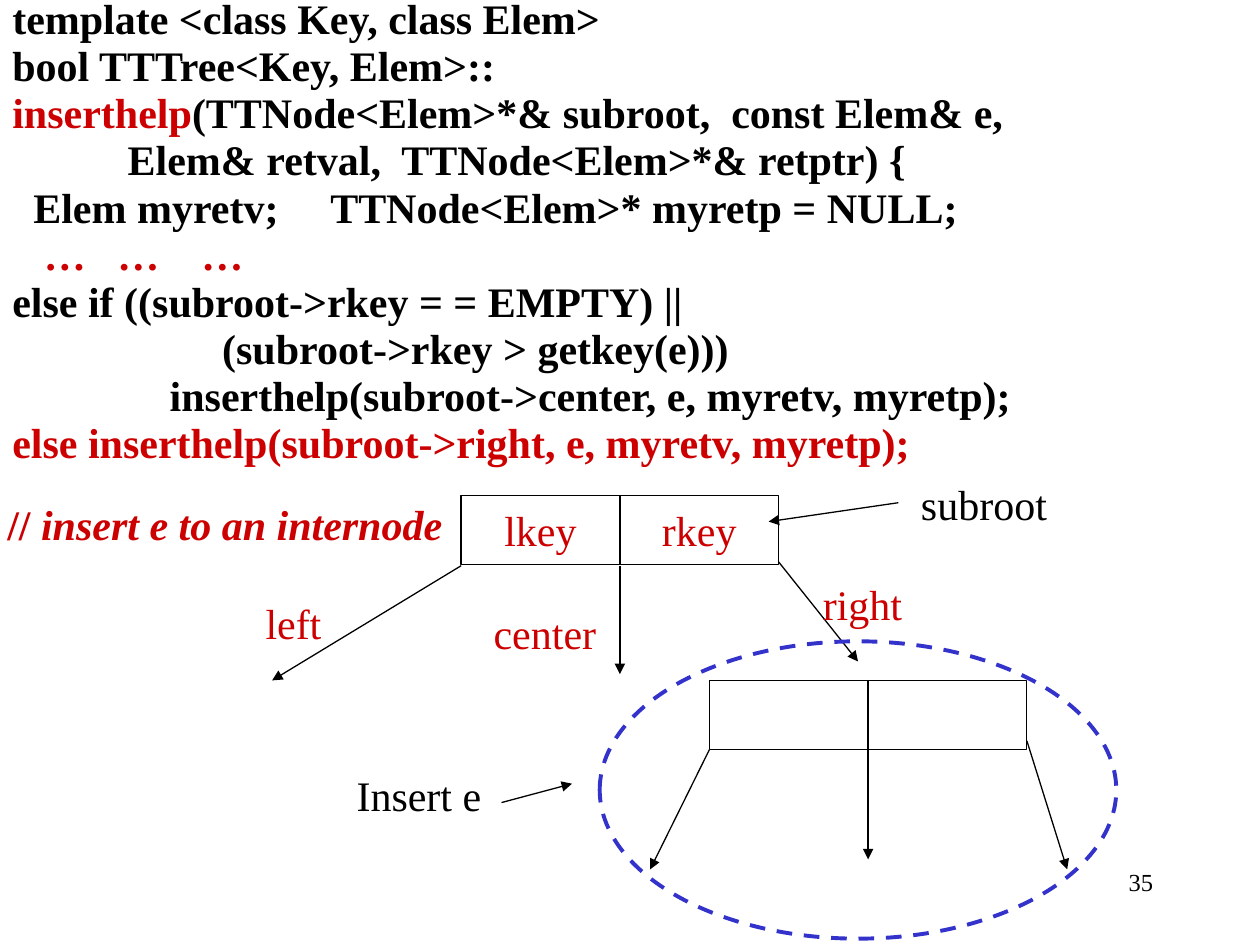
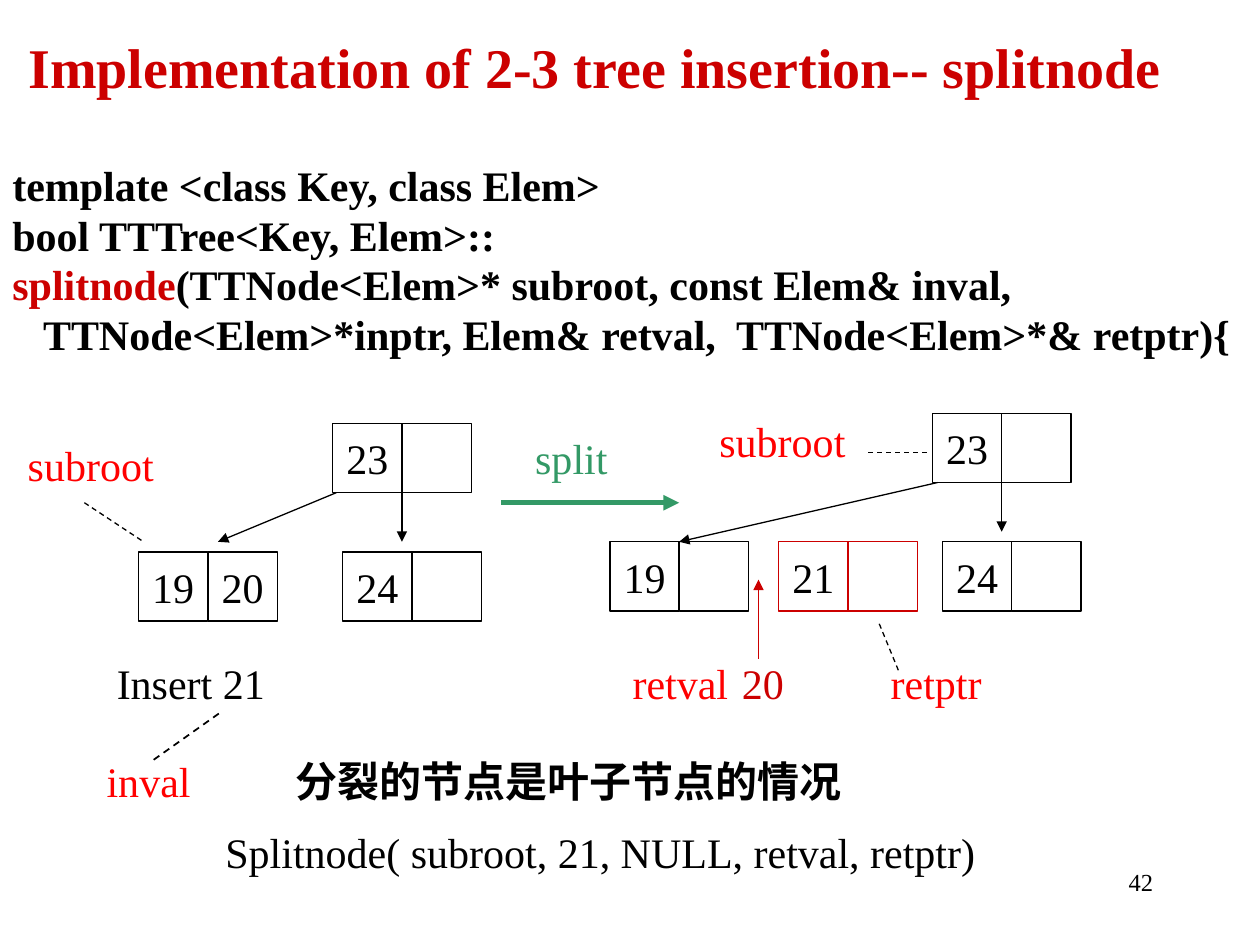
from pptx import Presentation
from pptx.dml.color import RGBColor
from pptx.enum.dml import MSO_LINE
from pptx.enum.shapes import MSO_CONNECTOR, MSO_SHAPE
from pptx.enum.text import MSO_ANCHOR, MSO_AUTO_SIZE, PP_ALIGN
from pptx.oxml.ns import qn
from pptx.util import Pt
from lxml import etree

RECT, OVAL = MSO_SHAPE.RECTANGLE, MSO_SHAPE.OVAL
STRAIGHT, DASH = MSO_CONNECTOR.STRAIGHT, MSO_LINE.DASH
LEFT, CENTER, RIGHT = PP_ALIGN.LEFT, PP_ALIGN.CENTER, PP_ALIGN.RIGHT
TITLE_ONLY, BLANK = 5, 6
PX = 9144  # EMU in one px, 100 px to the inch


class Theme:
    font = "Times New Roman"
    ink = RGBColor.from_string("000000")
    red = RGBColor.from_string("CC0000")
    bright = RGBColor.from_string("FF0000")
    green = RGBColor.from_string("339966")
    blue = RGBColor.from_string("3333CC")
    title, body, number = Pt(32), Pt(24), Pt(14)
    thin, medium, thick, heavy = Pt(0.75), Pt(1), Pt(2.25), Pt(3)
    code_gap = Pt(6.8)


def write(frame, lines, color, size=Theme.body, bold=False, align=CENTER):
    """Fill a frame; a line is a text or a list of (text, color, italic) spans."""
    frame.auto_size = MSO_AUTO_SIZE.NONE
    frame.word_wrap = False
    for index, line in enumerate(lines):
        para = frame.add_paragraph() if index else frame.paragraphs[0]
        para.alignment = align
        para.font.name, para.font.size, para.font.bold = Theme.font, size, bold
        para.font.color.rgb = color
        if isinstance(line, str):
            para.add_run().text = line
            continue
        for text, span_color, italic in line:
            span = para.add_run()
            span.text = text
            span.font.color.rgb = span_color
            span.font.italic = italic


def add_line(page, ends, color=Theme.ink, width=Theme.thin, arrow=True):
    """Draw a solid arrow, or a plain dashed pointer."""
    line = page.shapes.add_connector(STRAIGHT, *(value * PX for value in ends))
    line.line.color.rgb = color
    line.line.width = width
    if arrow:
        etree.SubElement(line.line._get_or_add_ln(), qn("a:tailEnd"), type="triangle")
    else:
        line.line.dash_style = DASH
    etree.SubElement(line._element.spPr, qn("a:effectLst"))


deck = Presentation()
deck.slide_width, deck.slide_height = 1000 * PX, 750 * PX

# Insertion into an internal node
insert_help = {
    "number": "35",
    "code_box": (0, 0, 973, 383),
    "spacing": 0.7,
    "code": [
        "template <class Key, class Elem>",
        "bool TTTree<Key, Elem>::",
        [("inserthelp", Theme.red, False),
         ("(TTNode<Elem>*& subroot,  const Elem& e,", Theme.ink, False)],
        "           Elem& retval,  TTNode<Elem>*& retptr) {",
        "  Elem myretv;     TTNode<Elem>* myretp = NULL;",
        [("   …   …    …", Theme.red, False)],
        "else if ((subroot->rkey = = EMPTY) ||",
        "                    (subroot->rkey > getkey(e)))",
        "               inserthelp(subroot->center, e, myretv, myretp);",
        [("else inserthelp(subroot->right, e, myretv, myretp);", Theme.red, False)],
    ],
    "cell_width": 126,
    # left, top, keys, outline, text colour
    "nodes": [
        (366, 393, ("lkey", "rkey"), Theme.ink, Theme.red),
        (563, 540, ("", ""), Theme.ink, Theme.ink),
    ],
    "arrows": [
        (366, 449, 216, 540), (492, 449, 492, 535), (618, 446, 681, 525),
        (563, 595, 516, 690), (689, 595, 689, 682), (815, 588, 847, 690),
        (713, 399, 610, 414), (398, 637, 454, 622),
    ],
    "pointers": [],
    # text, left, top, width, colour
    "labels": [
        ("left", 201, 469, 64, Theme.red),
        ("center", 382, 477, 101, Theme.red),
        ("right", 643, 454, 83, Theme.red),
        ("subroot", 721, 375, 120, Theme.ink),
        ("Insert e", 273, 606, 119, Theme.ink),
    ],
}

# Splitting a leaf
split_node = {
    "number": "42",
    "title": "Implementation of 2-3 tree insertion-- splitnode",
    "code_box": (0, 131, 1000, 180),
    "spacing": 0.75,
    "code": [
        "template <class Key, class Elem>",
        "bool TTTree<Key, Elem>::",
        [("splitnode", Theme.red, False),
         ("(TTNode<Elem>* subroot, const Elem& inval,", Theme.ink, False)],
        "   TTNode<Elem>*inptr, Elem& retval,  TTNode<Elem>*& retptr){",
    ],
    "cell_width": 55,
    "nodes": [
        (264, 336, ("23", ""), Theme.ink, Theme.ink),
        (110, 438, ("19", "20"), Theme.ink, Theme.ink),
        (272, 438, ("24", ""), Theme.ink, Theme.ink),
        (740, 328, ("23", ""), Theme.ink, Theme.ink),
        (484, 430, ("19", ""), Theme.ink, Theme.ink),
        (618, 430, ("21", ""), Theme.red, Theme.ink),
        (748, 430, ("24", ""), Theme.ink, Theme.ink),
    ],
    "arrows": [
        (267, 391, 173, 430), (319, 391, 319, 430),
        (744, 383, 539, 430), (795, 383, 795, 422),
    ],
    "pointers": [
        (67, 399, 114, 430), (689, 359, 736, 359), (713, 532, 697, 493),
    ],
    "labels": [
        ("subroot", 12, 344, 120, Theme.bright),
        ("subroot", 561, 325, 120, Theme.bright),
        ("split", 415, 338, 77, Theme.green),
        ("Insert 21", 83, 517, 137, Theme.ink),
        ("inval", 75, 595, 86, Theme.bright),
        ("retval", 492, 517, 96, Theme.bright),
        ("20", 579, 517, 53, Theme.red),
        ("retptr", 697, 517, 92, Theme.bright),
        ("Splitnode( subroot, 21, NULL, retval, retptr)", 169, 651, 615, Theme.ink),
    ],
}

pages = []
for content in (insert_help, split_node):
    page = deck.slides.add_slide(deck.slide_layouts[TITLE_ONLY if "title" in content else BLANK])
    pages.append(page)

    # Title
    if "title" in content:
        title = page.shapes.title
        title.left, title.top, title.width, title.height = 8 * PX, 21 * PX, 929 * PX, 64 * PX
        title.text_frame.vertical_anchor = MSO_ANCHOR.TOP
        write(title.text_frame, [content["title"]], Theme.red, Theme.title, True)

    # Page number
    box = page.shapes.add_textbox(717 * PX, 683 * PX, 208 * PX, 50 * PX)
    write(box.text_frame, [content["number"]], Theme.ink, Theme.number, align=RIGHT)

    # Code listing
    box = page.shapes.add_textbox(*(value * PX for value in content["code_box"]))
    write(box.text_frame, content["code"], Theme.ink, bold=True, align=LEFT)
    for index, para in enumerate(box.text_frame.paragraphs):
        para.line_spacing = content["spacing"]
        para.space_before = Theme.code_gap if index else 0

    # Tree nodes
    for left, top, keys, outline, color in content["nodes"]:
        for index, key in enumerate(keys):
            cell_left = left + index * content["cell_width"]
            cell = page.shapes.add_shape(
                RECT, cell_left * PX, top * PX, content["cell_width"] * PX, 55 * PX)
            cell.shadow.inherit = False
            cell.fill.background()
            cell.line.color.rgb = outline
            cell.line.width = Theme.thin
            if key:
                cell.text_frame.vertical_anchor = MSO_ANCHOR.MIDDLE
                write(cell.text_frame, [key], color)

    # Child arrows and dashed pointers
    for ends in content["arrows"]:
        add_line(page, ends)
    for ends in content["pointers"]:
        add_line(page, ends, arrow=False)

    # Labels
    for text, left, top, width, color in content["labels"]:
        box = page.shapes.add_textbox(left * PX, top * PX, width * PX, 50 * PX)
        write(box.text_frame, [text], color)

insert_page, split_page = pages

# Ring around the subtree that receives the element
ring = insert_page.shapes.add_shape(OVAL, 476 * PX, 509 * PX, 410 * PX, 236 * PX)
ring.shadow.inherit = False
ring.fill.background()
ring.line.color.rgb = Theme.blue
ring.line.width = Theme.thick
ring.line.dash_style = DASH

# Remark on the insertion
box = insert_page.shapes.add_textbox(-4 * PX, 391 * PX, 365 * PX, 50 * PX)
write(box.text_frame, [[("//", Theme.red, False),
                        (" insert e to an internode", Theme.red, True)]], Theme.red, bold=True)

# Split arrow, returned value and inserted value
add_line(split_page, (398, 399, 539, 399), Theme.green, Theme.heavy)
add_line(split_page, (602, 523, 602, 460), Theme.red)
add_line(split_page, (122, 603, 177, 564), width=Theme.medium, arrow=False)

# Case remark
box = split_page.shapes.add_textbox(225 * PX, 595 * PX, 453 * PX, 50 * PX)
write(box.text_frame, ["分裂的节点是叶子节点的情况"], Theme.ink, bold=True)

deck.save("out.pptx")
